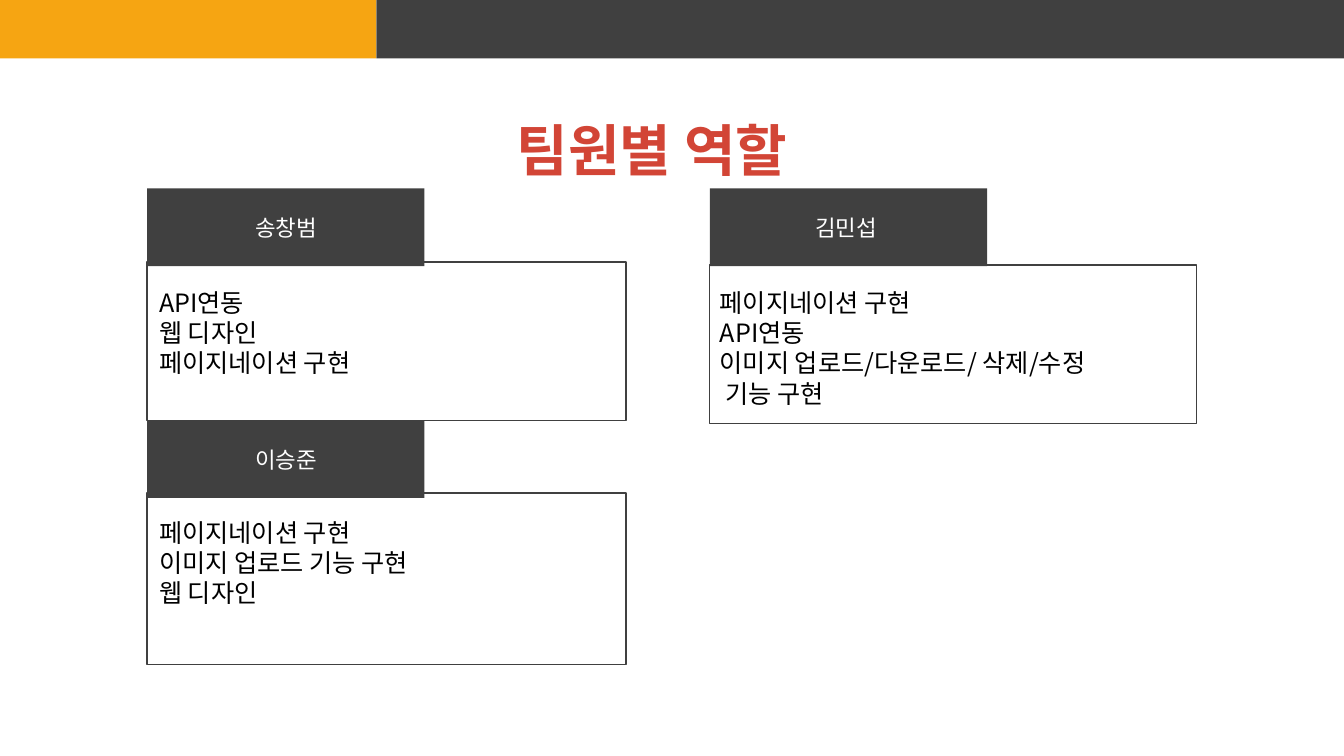
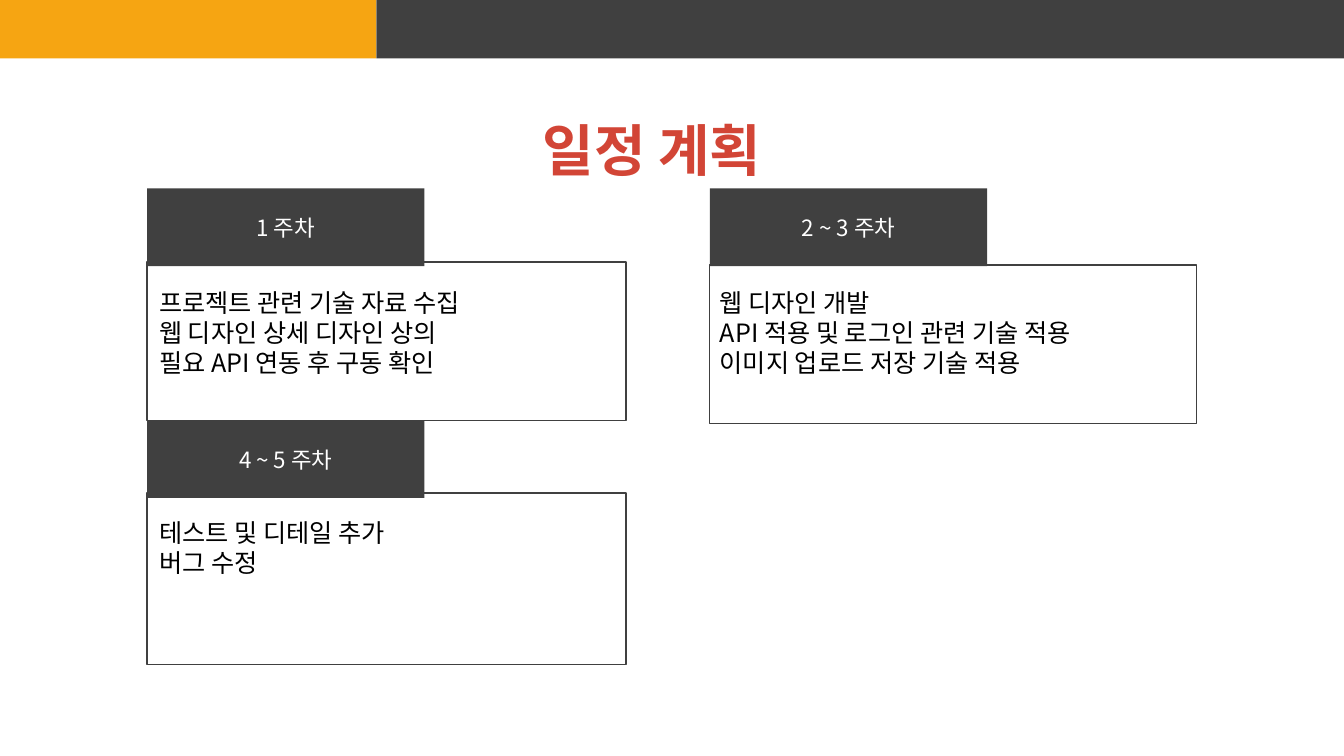
import pptx
import pptx.util
import pptx.dml.color
import pptx.enum.shapes
import pptx.enum.text
import lxml.etree

INK = {"dark": "404040", "gold": "F6A512", "red": "D24536",
       "white": "FFFFFF", "black": "000000"}
FONT = "Noto Sans CJK KR"
WIDE, HIGH = 13.33, 7.5
BAND = 0.58                    # height of the top band
GOLD = 0.28 * WIDE             # width of its gold part
TAB = (2.75, 0.77)             # name tab above each box
ROWS = (1.87, 4.17)            # tab tops
COLS = (1.46, 7.04)            # left edges

# Per card: column, row, box top, box width, box height, text left, text top
CARDS = [(0, 0, 2.6, 4.75, 1.57, 1.48, 2.8),
         (1, 0, 2.63, 4.83, 1.57, 7.04, 2.8),
         (0, 1, 4.89, 4.75, 1.7, 1.48, 5.08)]

PAGES = [
    ("팀원별 역할 ", [
        ("송창범", ["API연동", "웹 디자인", "페이지네이션 구현"]),
        ("김민섭 ", ["페이지네이션 구현", "API연동",
                  "이미지 업로드/다운로드/ 삭제/수정", " 기능 구현"]),
        ("이승준", ["페이지네이션 구현", "이미지 업로드 기능 구현", "웹 디자인"])]),
    ("일정 계획 ", [
        ("1 주차", ["프로젝트 관련 기술 자료 수집", "웹 디자인 상세 디자인 상의",
                  "필요 API 연동 후 구동 확인"]),
        ("2 ~ 3 주차", ["웹 디자인 개발", "API 적용 및 로그인 관련 기술 적용",
                      "이미지 업로드 저장 기술 적용"]),
        ("4 ~ 5 주차", ["테스트 및 디테일 추가", "버그 수정"])]),
]


def rect(slide, x, y, w, h, fill=None, line=None):
    box = slide.shapes.add_shape(
        pptx.enum.shapes.MSO_SHAPE.RECTANGLE,
        *[pptx.util.Inches(v) for v in (x, y, w, h)])
    box.shadow.inherit = False
    for part, hue in ((box.fill, fill), (box.line.fill, line)):
        if hue:
            part.solid()
            part.fore_color.rgb = pptx.dml.color.RGBColor.from_string(INK[hue])
        else:
            part.background()
    if line:
        box.line.width = pptx.util.Pt(1)
    return box


def write(shape, lines, size=18, hue="black", bold=False, mid=False):
    frame = shape.text_frame
    frame.word_wrap = True
    frame.text = "\n".join(lines)
    align = pptx.enum.text.PP_ALIGN
    for para in frame.paragraphs:
        para.alignment = align.CENTER if mid else align.LEFT
        for run in para.runs:
            font = run.font
            font.size = pptx.util.Pt(size)
            font.bold = bold
            font.color.rgb = pptx.dml.color.RGBColor.from_string(INK[hue])
            font.name = FONT
            # Korean glyphs take the East Asian typeface
            lxml.etree.SubElement(run._r.get_or_add_rPr(),
                                  pptx.oxml.ns.qn("a:ea"), typeface=FONT)


deck = pptx.Presentation()
deck.slide_width = pptx.util.Inches(WIDE)
deck.slide_height = pptx.util.Inches(HIGH)

for title, cards in PAGES:
    slide = deck.slides.add_slide(deck.slide_layouts[6])

    # Top band
    rect(slide, GOLD, 0, WIDE - GOLD, BAND, fill="dark")
    rect(slide, 0, 0, GOLD, BAND, fill="gold")

    # Title
    head = slide.shapes.add_textbox(
        *[pptx.util.Inches(v) for v in (3.53, 1.1, 6, 0.77)])
    write(head, [title], size=40, hue="red", bold=True, mid=True)

    # Boxes first, so that every tab lies over their edges
    for col, row, top, wide, high, *_ in CARDS:
        rect(slide, COLS[col], top, wide, high, line="dark")

    # Tabs and their lists
    for (col, row, top, wide, high, left, down), (name, lines) in zip(CARDS, cards):
        tab = rect(slide, COLS[col], ROWS[row], *TAB, fill="dark")
        write(tab, [name], size=16, hue="white", mid=True)
        body = slide.shapes.add_textbox(
            *[pptx.util.Inches(v) for v in (left, down, wide - 0.05, 1.31)])
        write(body, lines)

deck.save("out.pptx")
